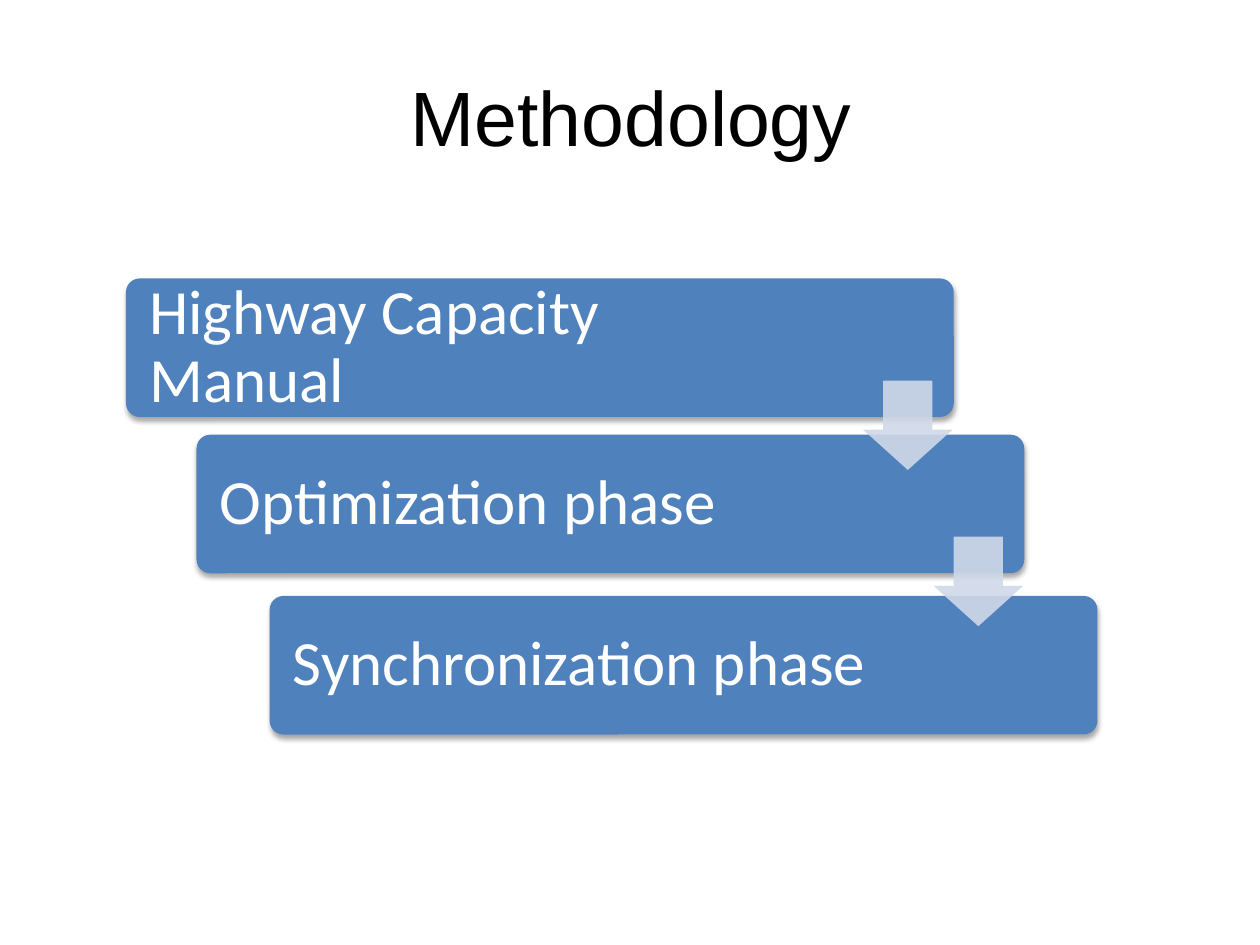
from lxml.etree import SubElement
from pptx import Presentation
from pptx.dml.color import RGBColor
from pptx.enum.shapes import MSO_SHAPE
from pptx.enum.text import MSO_ANCHOR, PP_ALIGN
from pptx.oxml.ns import qn
from pptx.util import Inches, Pt

# Content: step text, left and top of its bar, width of its text
TITLE = "Methodology"
STEPS = [
    ("Highway Capacity Manual", 1, 2.21, 5.39),
    ("Optimization phase", 1.56, 3.45, 5.21),
    ("Synchronization phase", 2.14, 4.73, 5.21),
]

# Layout and formats
BAR_WIDTH, BAR_HEIGHT = 6.57, 1.1
TEXT_OFFSET, TEXT_HEIGHT = 0.035, 1.03
ARROW_SIZE = 0.71
ARROW_LEFT, ARROW_TOP = 5.85, 0.81  # from the corner of the upper bar
BAR_COLOR, ARROW_COLOR = "4F81BD", "D0D8E8"
TITLE_FONT = {"name": "Arial", "size": Pt(44), "bold": False}
STEP_FONT = {"name": "Calibri", "size": Pt(36)}
STEP_FRAME = {
    "word_wrap": True,
    "vertical_anchor": MSO_ANCHOR.MIDDLE,
    **{f"margin_{side}": Inches(0.15) for side in ("left", "top", "right", "bottom")},
}
STEP_PARAGRAPH = {"alignment": PP_ALIGN.LEFT, "line_spacing": 0.9}


def color(hex_text):
    return RGBColor.from_string(hex_text)


def apply(target, values):
    for name, value in values.items():
        setattr(target, name, value)


def write(paragraph, text, font, hex_text):
    span = paragraph.add_run()
    span.text = text
    apply(span.font, font)
    span.font.color.rgb = color(hex_text)


def add_shape(page, kind, bounds, adjustments, fill):
    shape = page.shapes.add_shape(kind, *map(Inches, bounds))
    for index, value in enumerate(adjustments):
        shape.adjustments[index] = value
    shape.fill.solid()
    shape.fill.fore_color.rgb = color(fill)
    shape.line.fill.background()
    shape.shadow.inherit = False
    return shape


def add_shadow(shape):
    effects = shape._element.spPr.find(qn("a:effectLst"))
    shadow = SubElement(effects, qn("a:outerShdw"), blurRad="40000",
                        dist="23000", dir="5400000", rotWithShape="0")
    black = SubElement(shadow, qn("a:srgbClr"), val="000000")
    SubElement(black, qn("a:alpha"), val="35000")


def add_step(page, text, left, top, text_width):
    bar = add_shape(page, MSO_SHAPE.ROUNDED_RECTANGLE,
                    (left, top, BAR_WIDTH, BAR_HEIGHT), [0.1], BAR_COLOR)
    add_shadow(bar)
    box = page.shapes.add_textbox(Inches(left + TEXT_OFFSET), Inches(top + TEXT_OFFSET),
                                  Inches(text_width), Inches(TEXT_HEIGHT))
    apply(box.text_frame, STEP_FRAME)
    para = box.text_frame.paragraphs[0]
    apply(para, STEP_PARAGRAPH)
    write(para, text, STEP_FONT, "FFFFFF")


def add_arrow(page, left, top):
    arrow = add_shape(page, MSO_SHAPE.DOWN_ARROW,
                      (left + ARROW_LEFT, top + ARROW_TOP, ARROW_SIZE, ARROW_SIZE),
                      [0.55, 0.45], ARROW_COLOR)
    fill = arrow._element.spPr.find(qn("a:solidFill"))
    SubElement(fill[0], qn("a:alpha"), val="90000")


def main():
    deck = Presentation()
    deck.slide_width, deck.slide_height = Inches(10), Inches(7.5)
    page = deck.slides.add_slide(deck.slide_layouts[5])

    # Title
    title = page.shapes.title
    apply(title, {"left": Inches(0.51), "top": Inches(0.29),
                  "width": Inches(9), "height": Inches(1.25)})
    title.text_frame.vertical_anchor = MSO_ANCHOR.MIDDLE
    heading = title.text_frame.paragraphs[0]
    heading.alignment = PP_ALIGN.CENTER
    write(heading, TITLE, TITLE_FONT, "000000")

    # Staggered steps, then an arrow from each to the next
    for step in STEPS:
        add_step(page, *step)
    for _, left, top, _ in STEPS[:-1]:
        add_arrow(page, left, top)

    deck.save("out.pptx")


if __name__ == "__main__":
    main()
